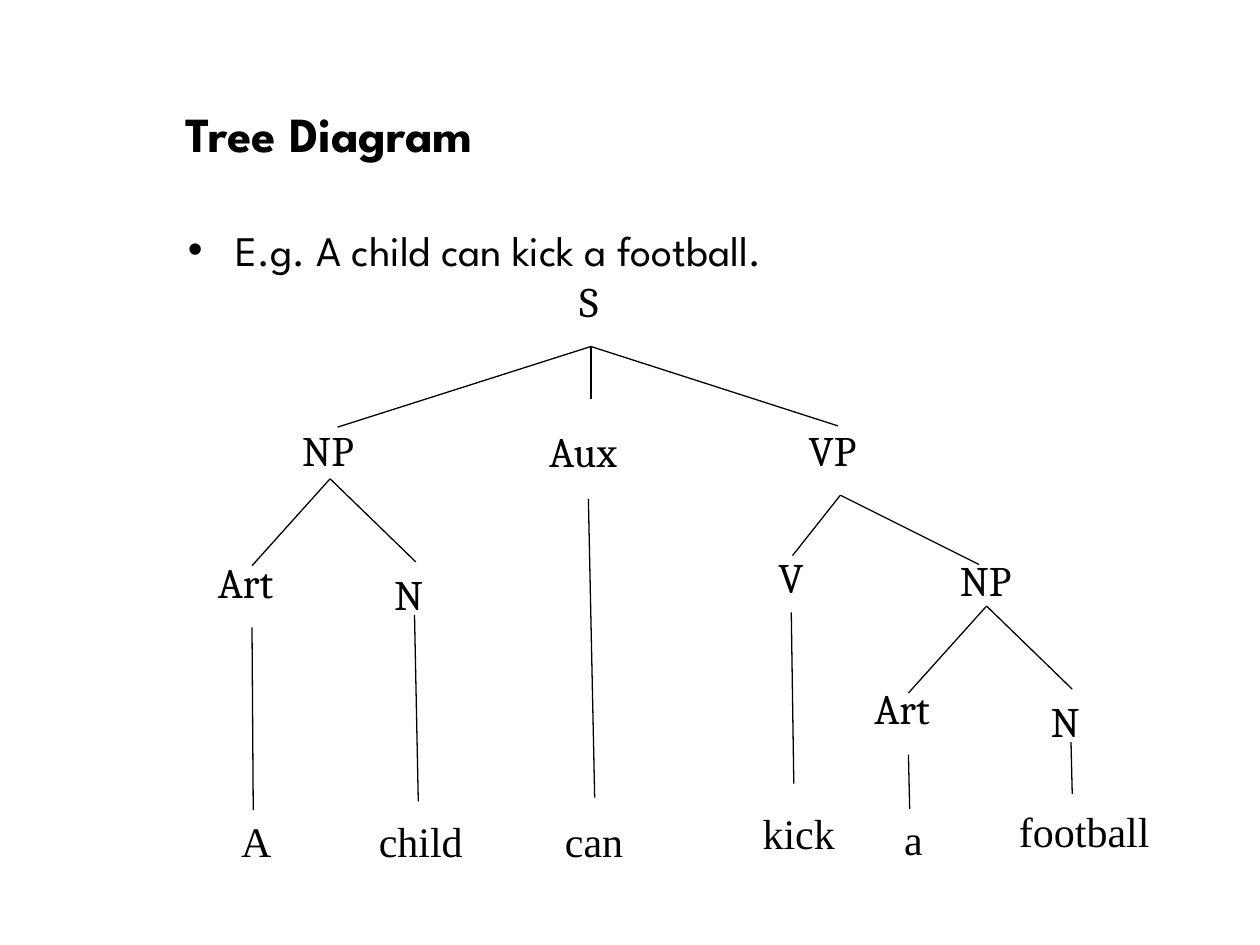
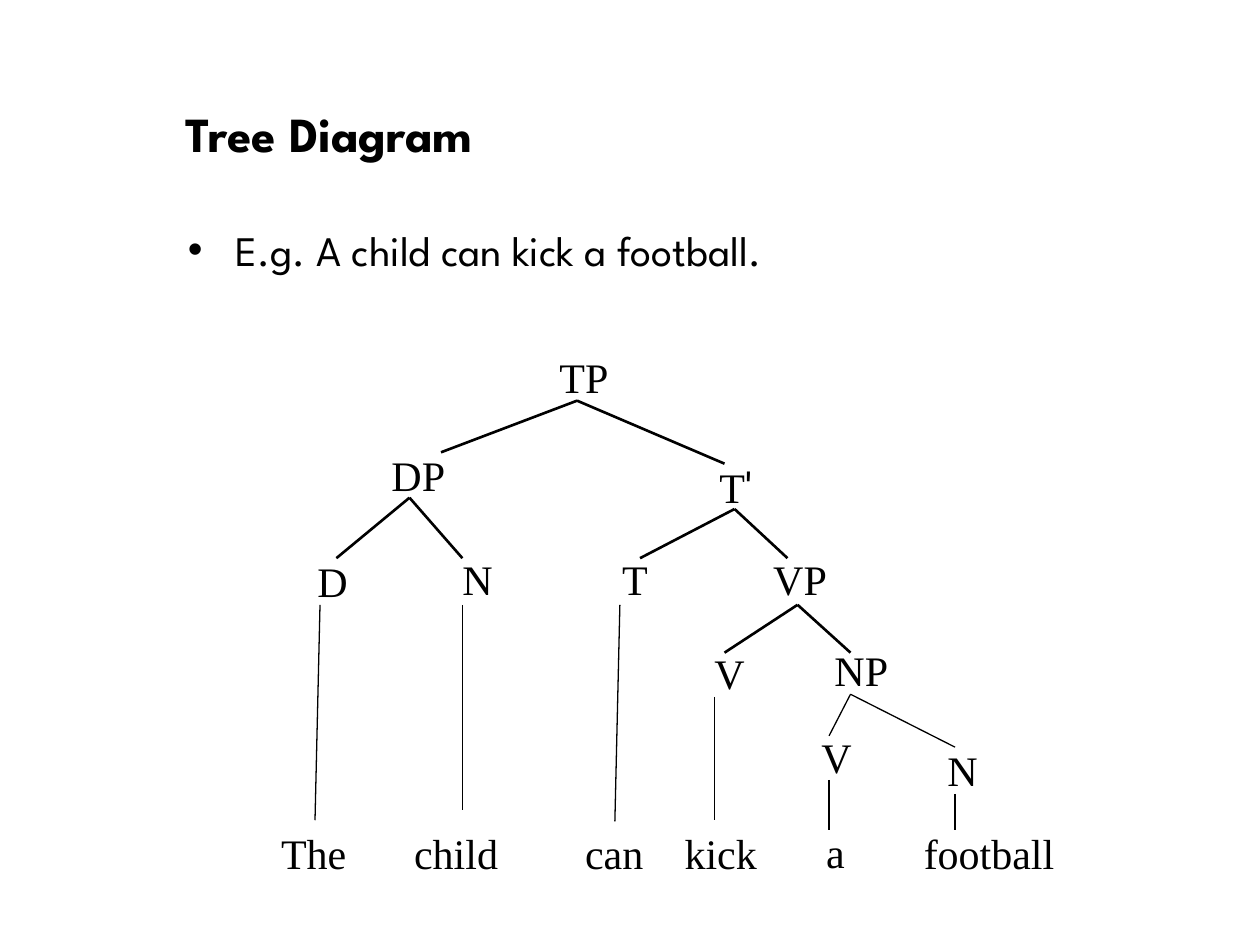
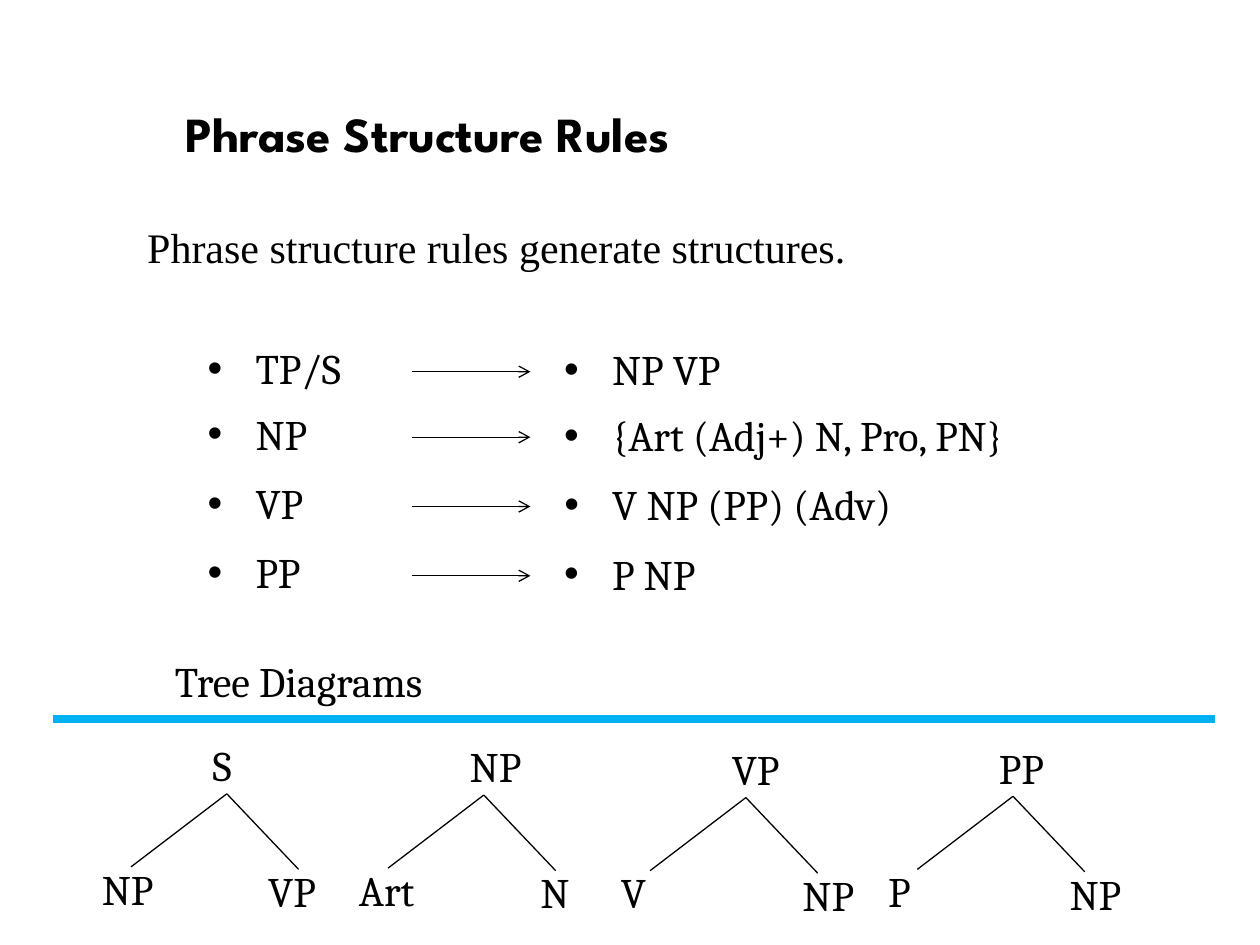
from lxml.etree import SubElement
from pptx import Presentation
from pptx.dml.color import RGBColor
from pptx.enum.shapes import MSO_CONNECTOR
from pptx.enum.text import MSO_ANCHOR, PP_ALIGN
from pptx.oxml.ns import qn
from pptx.util import Inches, Pt

BLACK = "000000"
BLUE = "00B0F0"
HEAD = "League Spartan"
SERIF = "Times New Roman"
RULE = "Cambria"


def paint(color, code):
    """Set a colour from a hex string."""
    color.rgb = RGBColor.from_string(code)


def place(shape, left, top, width, height):
    """Move and size a shape in inches."""
    shape.left, shape.top = Inches(left), Inches(top)
    shape.width, shape.height = Inches(width), Inches(height)


def add_run(para, text, font, size=24, bold=False):
    """Add one formatted run."""
    run = para.add_run()
    run.text = text
    run.font.name = font
    run.font.size = Pt(size)
    run.font.bold = bold
    paint(run.font.color, BLACK)


def add_text(slide, box, text, font, align=PP_ALIGN.LEFT, side=0.1):
    """Add a text box and return its paragraph."""
    shape = slide.shapes.add_textbox(*map(Inches, box))
    frame = shape.text_frame
    frame.word_wrap = True
    frame.margin_left = frame.margin_right = Inches(side)
    para = frame.paragraphs[0]
    para.alignment = align
    add_run(para, text, font)
    return para


def add_word(slide, text, *box):
    """Add a centred label in the plain serif face."""
    return add_text(slide, box, text, SERIF, PP_ALIGN.CENTER)


def space(para):
    """Put a fifth of a line above and below a paragraph."""
    props = para._p.get_or_add_pPr()
    for tag in ("a:spcBef", "a:spcAft"):
        SubElement(SubElement(props, qn(tag)), qn("a:spcPct"), val="20000")
    return props


def add_node(slide, text, *box):
    """Add a label in the rule face."""
    space(add_text(slide, box, text, RULE))


def add_point(slide, text, font, *box, side=0.1):
    """Add a bulleted line."""
    props = space(add_text(slide, box, text, font, side=side))
    props.set("marL", str(Inches(0.38)))
    props.set("indent", str(-Inches(0.38)))
    SubElement(SubElement(props, qn("a:buClr")), qn("a:srgbClr"), val=BLACK)
    SubElement(props, qn("a:buFont"), typeface="Arial")
    SubElement(props, qn("a:buChar"), char="•")


def add_line(slide, start, end, width=0.75, code=BLACK, arrow=False):
    """Draw a straight line, with an arrowhead if asked."""
    line = slide.shapes.add_connector(
        MSO_CONNECTOR.STRAIGHT, *map(Inches, (*start, *end)))
    line.line.width = Pt(width)
    paint(line.line.color, code)
    if arrow:
        SubElement(line.line._get_or_add_ln(), qn("a:tailEnd"), type="arrow")
    SubElement(line._element.spPr, qn("a:effectLst"))


def add_fork(slide, root, *ends, width=0.75):
    """Draw the branches from one root."""
    for end in ends:
        add_line(slide, root, end, width)


def add_page(deck, title):
    """Add a slide with the shared title style."""
    slide = deck.slides.add_slide(deck.slide_layouts[5])
    shape = slide.shapes.title
    place(shape, 1.37, 0.24, 7.48, 1.1)
    frame = shape.text_frame
    frame.vertical_anchor = MSO_ANCHOR.BOTTOM
    para = frame.paragraphs[0]
    para.alignment = PP_ALIGN.LEFT
    add_run(para, title, HEAD, 28, True)
    return slide


def add_tree(deck):
    """Add a tree slide with its example sentence."""
    slide = add_page(deck, "Tree Diagram")
    add_point(slide, "E.g. A child can kick a football.", HEAD,
              1.29, 1.73, 6.12, 0.63, side=0.2)
    return slide


def add_flat(deck):
    """Build the tree with an auxiliary under S."""
    slide = add_tree(deck)
    for word in (
        ("A", 1.56, 6.42, 0.95, 0.5), ("child", 2.88, 6.42, 0.92, 0.5),
        ("can", 4.34, 6.42, 0.75, 0.4), ("kick", 5.86, 6.36, 0.96, 0.5),
        ("a", 7.04, 6.41, 0.42, 0.4), ("football", 7.91, 6.34, 1.39, 0.5),
    ):
        add_word(slide, *word)
    for text, left, top, width in (
        ("S", 4.5, 2.14, 0.38), ("NP", 2.3, 3.32, 0.71),
        ("Aux", 4.26, 3.33, 0.83), ("VP", 6.32, 3.32, 0.71),
        ("Art", 1.63, 4.37, 0.75), ("N", 3.03, 4.46, 0.55),
        ("V", 6.08, 4.33, 0.5), ("NP", 7.52, 4.35, 0.86),
        ("Art", 6.84, 5.37, 0.75), ("N", 8.24, 5.47, 0.55),
    ):
        add_node(slide, text, left, top, width, 0.61)
    add_fork(slide, (4.69, 2.75), (2.68, 3.39), (4.69, 3.17), (6.65, 3.38))
    add_fork(slide, (2.62, 3.8), (2, 4.49), (3.3, 4.46))
    add_fork(slide, (6.67, 3.93), (6.29, 4.41), (7.77, 4.48))
    add_fork(slide, (7.83, 4.81), (7.21, 5.5), (8.51, 5.47))
    for start, end in (
        ((2, 4.98), (2.01, 6.43)), ((3.29, 4.88), (3.32, 6.36)),
        ((4.67, 3.96), (4.72, 6.33)), ((6.28, 4.86), (6.3, 6.22)),
        ((7.21, 5.99), (7.22, 6.42)), ((8.5, 5.89), (8.51, 6.3)),
    ):
        add_line(slide, start, end)


def add_deep(deck):
    """Build the tree with two branches at each node."""
    slide = add_tree(deck)
    for word in (
        ("TP", 4.22, 2.74, 0.83, 0.5), ("DP", 2.91, 3.52, 0.82, 0.5),
        ("D", 2.42, 4.36, 0.42, 0.4), ("N", 3.5, 4.34, 0.58, 0.4),
        ("T", 4.75, 4.34, 0.58, 0.4), ("VP", 5.98, 4.34, 0.74, 0.5),
        ("V", 5.5, 5.09, 0.58, 0.4), ("NP", 6.44, 5.07, 0.79, 0.5),
        ("V", 6.42, 5.76, 0.42, 0.4), ("N", 7.42, 5.86, 0.42, 0.4),
        ("The", 2.06, 6.52, 0.86, 0.5), ("child", 3.16, 6.52, 0.92, 0.5),
        ("can", 4.5, 6.52, 0.75, 0.4), ("kick", 5.25, 6.52, 0.94, 0.5),
        ("a", 6.42, 6.51, 0.42, 0.4), ("football", 7.17, 6.52, 1.36, 0.5),
    ):
        add_word(slide, *word)
    add_run(add_word(slide, "T", 5.43, 3.61, 0.82, 0.5), "'", "Roboto")
    for root, left, right in (
        ((4.58, 3.18), (3.5, 3.59), (5.75, 3.68)),
        ((3.25, 3.95), (2.67, 4.43), (3.67, 4.43)),
        ((5.83, 4.04), (5.08, 4.43), (6.25, 4.43)),
        ((6.33, 4.8), (5.75, 5.18), (6.75, 5.18)),
    ):
        add_fork(slide, root, left, right, width=1.5)
    add_fork(slide, (6.75, 5.51), (6.58, 5.84), (7.58, 5.93))
    for start, end in (
        ((2.54, 4.8), (2.5, 6.51)), ((3.67, 4.8), (3.67, 6.43)),
        ((4.92, 4.8), (4.88, 6.52)), ((5.67, 5.53), (5.67, 6.51)),
        ((6.58, 6.19), (6.58, 6.59)), ((7.58, 6.3), (7.58, 6.59)),
    ):
        add_line(slide, start, end)


def add_rules(deck):
    """Build the slide of rules and their small trees."""
    slide = add_page(deck, "Phrase Structure Rules")
    add_text(slide, (1.07, 1.71, 6.43, 0.5),
             "Phrase structure rules generate structures.", SERIF)
    for left, right, top, wide, span in (
        ("TP/S", "NP VP", 2.67, 2.97, 2.97),
        ("NP", "{Art (Adj+) N, Pro, PN}", 3.19, 2.97, 4.66),
        ("VP", "V NP (PP) (Adv)", 3.74, 2.97, 3.15),
        ("PP", "P NP", 4.29, 1.26, 1.53),
    ):
        add_point(slide, left, RULE, 1.55, top, wide, 0.55)
        add_point(slide, right, RULE, 4.38, top + 0.01, span, 0.61)
        mid = top + 0.28
        add_line(slide, (3.27, mid), (4.21, mid), arrow=True)
    add_node(slide, "Tree Diagrams", 1.29, 5.15, 2.61, 0.55)
    add_line(slide, (0.42, 5.71), (9.64, 5.71), 4.5, BLUE)
    for root, left, right, x, y, shift in (
        ("S", "NP", "VP", 1.8, 6.3, 0.23),
        ("NP", "Art", "N", 3.84, 6.31, 0.35),
        ("VP", "V", "NP", 5.92, 6.33, 0.35),
        ("PP", "P", "NP", 8.04, 6.32, 0.35),
    ):
        add_node(slide, root, x - 0.21, y - 0.48, 0.76, 0.55)
        add_node(slide, left, x - 1.09, y + 0.5, 0.74, 0.55)
        add_node(slide, right, x + shift, y + 0.52, 0.71, 0.55)
        add_fork(slide, (x, y), (x - 0.76, y + 0.58), (x + 0.57, y + 0.6))


def main():
    """Build and save the three slides."""
    deck = Presentation()
    deck.slide_width, deck.slide_height = Inches(10), Inches(7.5)
    add_flat(deck)
    add_deep(deck)
    add_rules(deck)
    deck.save("out.pptx")


if __name__ == "__main__":
    main()
